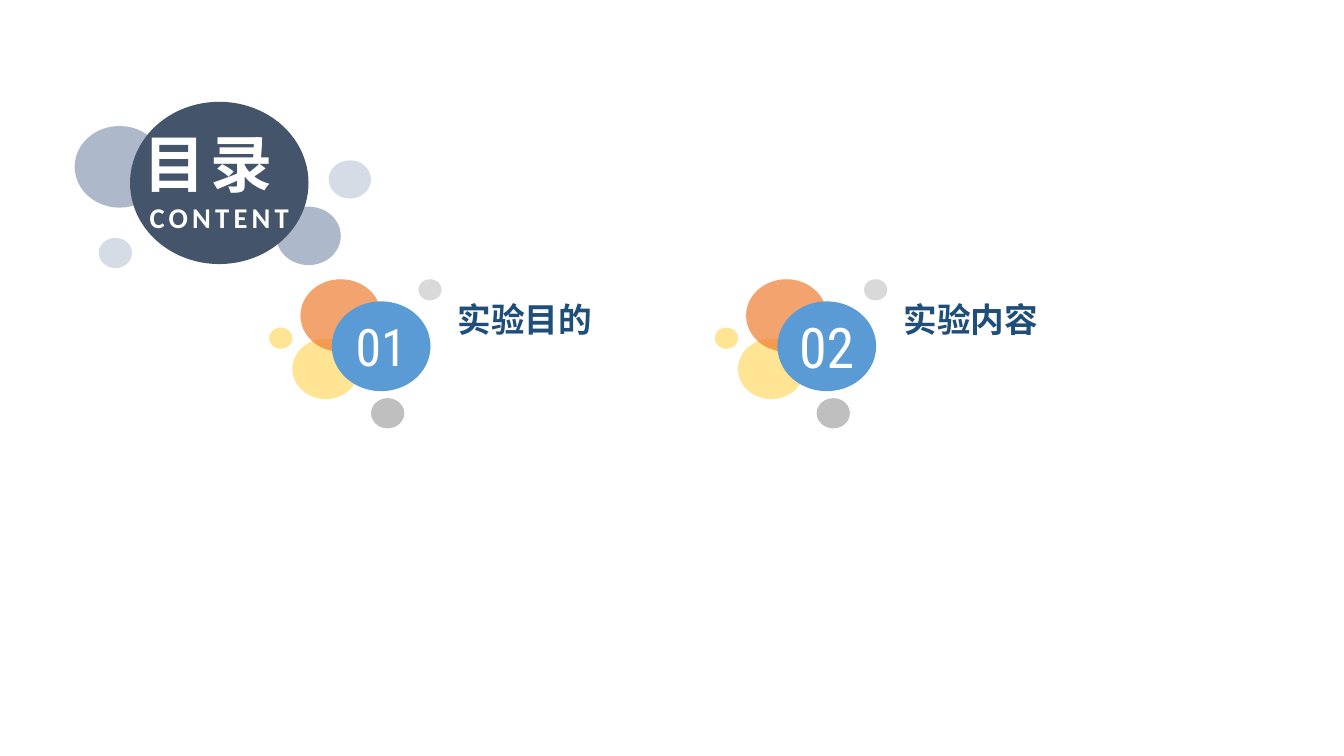
from lxml import etree
from pptx import Presentation
from pptx.dml.color import RGBColor
from pptx.enum.shapes import MSO_SHAPE
from pptx.enum.text import MSO_ANCHOR, PP_ALIGN
from pptx.oxml.ns import qn
from pptx.util import Inches, Pt

OVAL = MSO_SHAPE.OVAL
CENTER, LEFT = PP_ALIGN.CENTER, PP_ALIGN.LEFT
MIDDLE, BOTTOM = MSO_ANCHOR.MIDDLE, MSO_ANCHOR.BOTTOM

WHITE = RGBColor(0xFF, 0xFF, 0xFF)
SLATE = RGBColor(0x44, 0x54, 0x6A)
SLATE_MID = RGBColor(0xAD, 0xB9, 0xCA)
SLATE_LIGHT = RGBColor(0xD6, 0xDC, 0xE5)
YELLOW = RGBColor(0xFF, 0xD9, 0x66)
ORANGE = RGBColor(0xED, 0x7D, 0x31)
BLUE = RGBColor(0x5B, 0x9B, 0xD5)
NAVY = RGBColor(0x1F, 0x4E, 0x79)
GRAY = RGBColor(0xA5, 0xA5, 0xA5)
GRAY_LIGHT = RGBColor(0xC9, 0xC9, 0xC9)

CJK_FONT = "Noto Sans CJK SC"
TITLE_LINES = [("目录 ", 44.4), ("CONTENT", 20.4)]
SECTIONS = [("01", 37, "实验目的"), ("02", 40, "实验内容")]

SECTION_LEFT, SECTION_TOP, SECTION_STEP = 2.67, 2.77, 4.42
NUMBER_BUBBLE = (0.62, 0.22, 0.98, 0.89, BLUE, 100)
SECTION_BUBBLES = [
    (0.23, 0.59, 0.66, 0.6, YELLOW, 70),
    (0.31, 0, 0.8, 0.72, ORANGE, 70),
    NUMBER_BUBBLE,
    (1.01, 1.18, 0.33, 0.3, GRAY, 70),
    (0, 0.48, 0.23, 0.21, YELLOW, 70),
    (1.48, 0, 0.23, 0.21, GRAY_LIGHT, 70),
]
LABEL_BOX = (1.48, 0, 2.75, 0.59)
TITLE_BUBBLES = [
    (0.98, 2.36, 0.33, 0.3, SLATE_LIGHT, 100),
    (2.74, 2.05, 0.64, 0.58, SLATE_MID, 100),
    (0.74, 1.25, 0.89, 0.81, SLATE_MID, 100),
    (1.29, 1.01, 1.77, 1.61, SLATE, 100),
    (3.26, 1.59, 0.42, 0.38, SLATE_LIGHT, 100),
]
TITLE_BOX = (1.29, 1.01, 1.77, 1.36)


def add_bubble(shapes, left, top, width, height, color, opacity):
    bubble = shapes.add_shape(OVAL, *map(Inches, (left, top, width, height)))
    bubble.shadow.inherit = False
    bubble.line.fill.background()
    bubble.fill.solid()
    bubble.fill.fore_color.rgb = color
    if opacity < 100:
        color_element = bubble.fill._xPr.find(".//" + qn("a:srgbClr"))
        etree.SubElement(color_element, qn("a:alpha"), val=str(opacity * 1000))
    return bubble


def format_frame(frame, anchor, left=0, bottom=0):
    values = {
        "word_wrap": False, "vertical_anchor": anchor, "margin_left": Inches(left),
        "margin_top": 0, "margin_right": 0, "margin_bottom": Inches(bottom),
    }
    for name, value in values.items():
        setattr(frame, name, value)


def add_run(paragraph, text, size, font, color, bold, align):
    paragraph.alignment = align
    run = paragraph.add_run()
    run.text = text
    for name, value in {"name": font, "size": Pt(size), "bold": bold}.items():
        setattr(run.font, name, value)
    run.font.color.rgb = color
    properties = run._r.get_or_add_rPr()
    etree.SubElement(properties, qn("a:ea"), typeface=CJK_FONT)
    return properties


def add_section(slide, left, number, number_size, label):
    group = slide.shapes.add_group_shape()
    for bubble_spec in SECTION_BUBBLES:
        x, y, *rest = bubble_spec
        bubble = add_bubble(group.shapes, left + x, SECTION_TOP + y, *rest)
        if bubble_spec is NUMBER_BUBBLE:
            format_frame(bubble.text_frame, MIDDLE)
            add_run(bubble.text_frame.paragraphs[0], number, number_size,
                    "Roboto Condensed", WHITE, False, CENTER)
    x, y, width, height = LABEL_BOX
    box = group.shapes.add_textbox(*map(Inches, (left + x, SECTION_TOP + y, width, height)))
    format_frame(box.text_frame, BOTTOM, left=0.39)
    add_run(box.text_frame.paragraphs[0], label, 24, CJK_FONT, NAVY, True, LEFT)


def add_title(slide):
    group = slide.shapes.add_group_shape()
    for bubble_spec in TITLE_BUBBLES:
        add_bubble(group.shapes, *bubble_spec)
    title = slide.shapes.title
    title.left, title.top, title.width, title.height = map(Inches, TITLE_BOX)
    format_frame(title.text_frame, BOTTOM, bottom=0.05)
    paragraph = title.text_frame.paragraphs[0]
    for index, (text, size) in enumerate(TITLE_LINES):
        if index:
            paragraph.add_line_break()
        properties = add_run(paragraph, text, size, "Calibri", WHITE, True, CENTER)
        properties.set("spc", "300")
    group._element.addnext(title._element)


def main():
    presentation = Presentation()
    presentation.slide_width, presentation.slide_height = Inches(13.33), Inches(7.5)
    slide = presentation.slides.add_slide(presentation.slide_layouts[5])
    for index, section in enumerate(SECTIONS):
        add_section(slide, SECTION_LEFT + index * SECTION_STEP, *section)
    add_title(slide)
    presentation.save("out.pptx")


if __name__ == "__main__":
    main()
